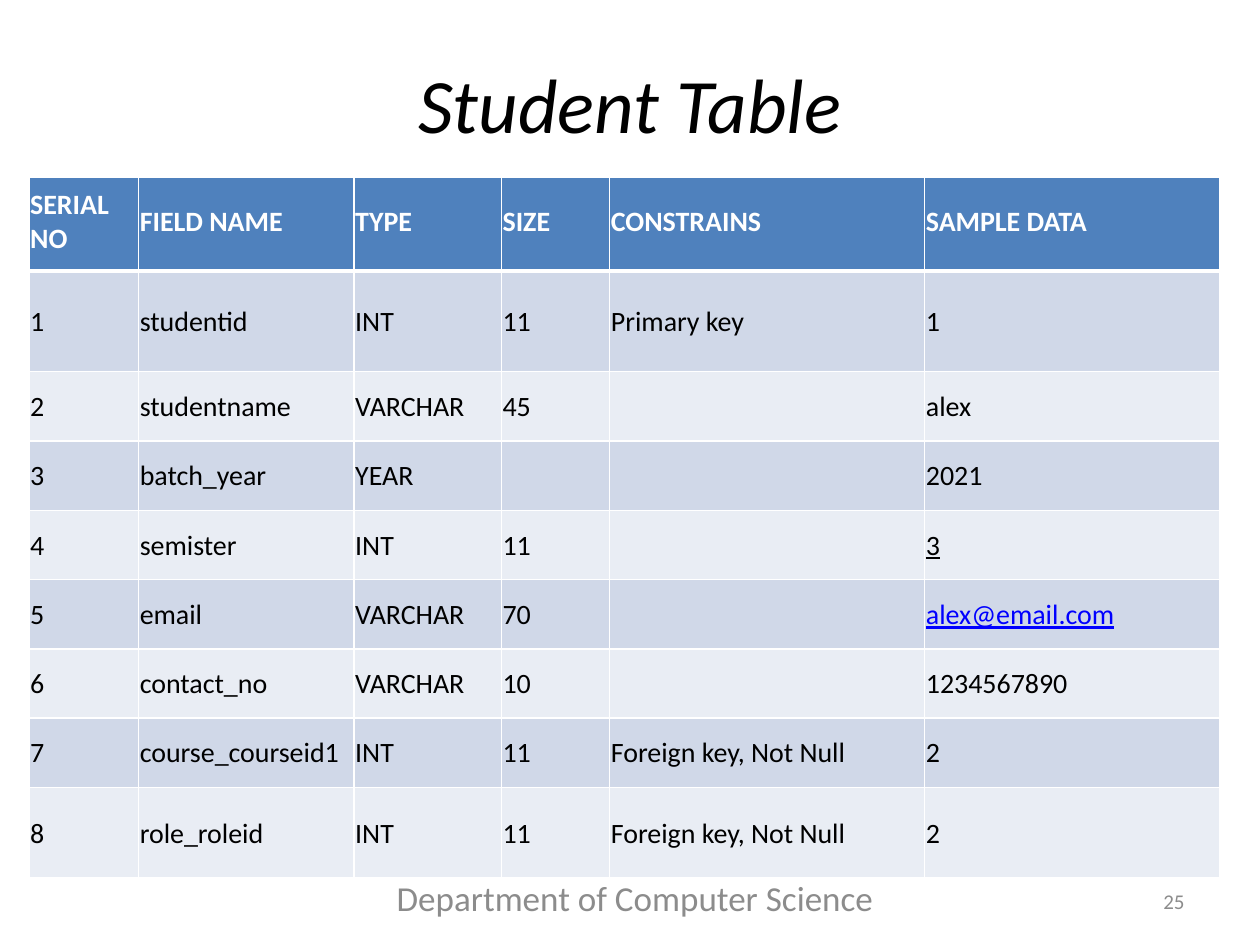
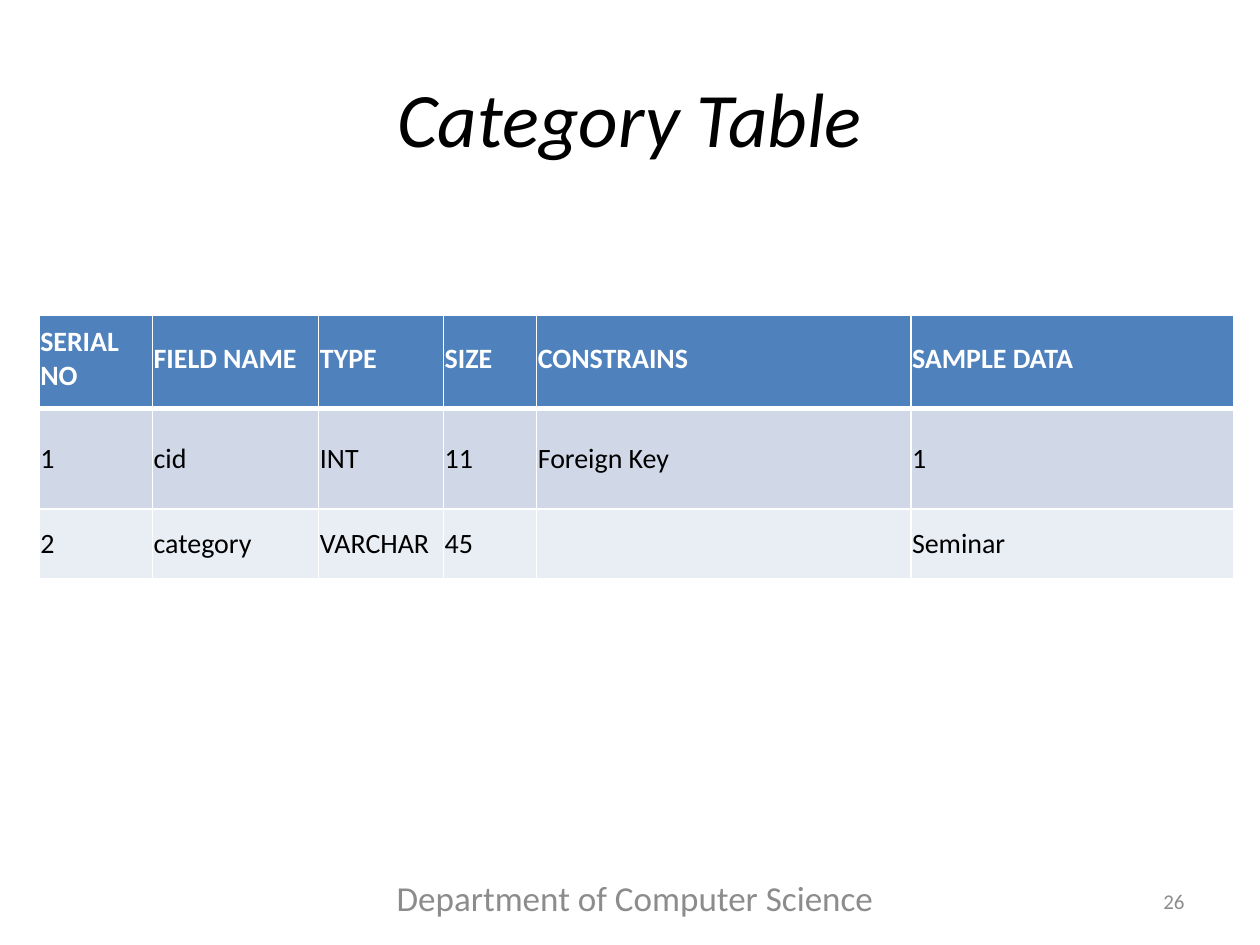
"""Build two slides that describe the Student and Category database tables."""
from lxml.etree import SubElement
from pptx import Presentation
from pptx.dml.color import RGBColor
from pptx.enum.text import MSO_ANCHOR as ANCHOR, PP_ALIGN as ALIGN
from pptx.oxml.ns import qn
from pptx.util import Inches, Pt

BLACK = RGBColor(0x00, 0x00, 0x00)
WHITE = RGBColor(0xFF, 0xFF, 0xFF)
GREY = RGBColor(0x8C, 0x8C, 0x8C)
HEADER = RGBColor(0x4F, 0x81, 0xBD)
BANDS = [RGBColor(0xE9, 0xED, 0xF4), RGBColor(0xD0, 0xD8, 0xE8)]
LINK = RGBColor(0x00, 0x00, 0xFF)
FONT = "Calibri"
FOOTER = "Department of Computer Science"
HEADINGS = ["SERIAL NO", "FIELD NAME", "TYPE", "SIZE", "CONSTRAINS", "SAMPLE DATA"]
UNDERLINED = {(4, 5): BLACK, (5, 5): LINK}

SLIDES = [
    dict(
        title="Student Table", number=25, title_height=1.03, left=0.23, top=1.41,
        cols=[0.87, 1.71, 1.17, 0.86, 2.5, 2.34],
        heights=[0.74, 0.8] + [0.55] * 6 + [0.72],
        fields=[
            ("studentid", "INT", "11", "Primary key", "1"),
            ("studentname", "VARCHAR", "45", "", "alex"),
            ("batch_year", "YEAR", "", "", "2021"),
            ("semister", "INT", "11", "", "3"),
            ("email", "VARCHAR", "70", "", "alex@email.com"),
            ("contact_no", "VARCHAR", "10", "", "1234567890"),
            ("course_courseid1", "INT", "11", "Foreign key, Not Null", "2"),
            ("role_roleid", "INT", "11", "Foreign key, Not Null", "2"),
        ],
    ),
    dict(
        title="Category Table", number=26, title_height=1.25, left=0.31, top=2.5,
        cols=[0.9, 1.32, 0.99, 0.74, 2.97, 2.56],
        heights=[0.74, 0.8, 0.55],
        fields=[
            ("cid", "INT", "11", "Foreign Key", "1"),
            ("category", "VARCHAR", "45", "", "Seminar"),
        ],
    ),
]


def write(tf, text, size=16, color=BLACK, align=ALIGN.LEFT, bold=False,
          italic=False, underline=False):
    tf.word_wrap = True
    tf.vertical_anchor = ANCHOR.MIDDLE
    p = tf.paragraphs[0]
    p.alignment = align
    r = p.add_run()
    r.text = text
    r.font.name, r.font.size, r.font.color.rgb = FONT, Pt(size), color
    r.font.bold, r.font.italic, r.font.underline = bold, italic, underline


def add_borders(cell, **widths):
    tcPr = cell._tc.get_or_add_tcPr()
    for side in "LRTB":
        ln = SubElement(tcPr, qn(f"a:ln{side}"), w=str(Pt(widths.get(side, 1))))
        fill = SubElement(ln, qn("a:solidFill"))
        SubElement(fill, qn("a:srgbClr"), val=str(WHITE))


prs = Presentation()
prs.slide_width, prs.slide_height = Inches(10), Inches(7.5)

for spec_data in SLIDES:
    s = prs.slides.add_slide(prs.slide_layouts[6])
    texts = [
        ((0.5, 0.3, 9, spec_data["title_height"]), spec_data["title"],
         dict(size=44, italic=True, align=ALIGN.CENTER)),
        ((2.83, 6.92, 4.42, 0.4), FOOTER,
         dict(size=20, color=GREY, align=ALIGN.CENTER)),
        ((7.17, 6.95, 2.33, 0.4), str(spec_data["number"]),
         dict(size=12, color=GREY, align=ALIGN.RIGHT)),
    ]
    for box, text, style in texts:
        sp = s.shapes.add_textbox(*map(Inches, box))
        write(sp.text_frame, text, **style)

    cols, heights = spec_data["cols"], spec_data["heights"]
    rows = [HEADINGS] + [(str(n), *field)
                         for n, field in enumerate(spec_data["fields"], 1)]
    table = s.shapes.add_table(
        len(rows), len(cols), Inches(spec_data["left"]), Inches(spec_data["top"]),
        Inches(sum(cols)), Inches(sum(heights))).table
    for col, width in zip(table.columns, cols):
        col.width = Inches(width)
    for row, height in zip(table.rows, heights):
        row.height = Inches(height)

    for i, row in enumerate(rows):
        for j, text in enumerate(row):
            cell = table.cell(i, j)
            add_borders(cell, B=3 if i == 0 else 1, T=3 if i == 1 else 1)
            cell.fill.solid()
            cell.fill.fore_color.rgb = BANDS[i % 2] if i else HEADER
            cell.margin_left = cell.margin_right = cell.margin_top = Inches(0.01)
            cell.margin_bottom = Inches(0 if i else 0.05)
            cell.vertical_anchor = ANCHOR.MIDDLE
            if not text:
                continue
            p = cell.text_frame.paragraphs[0]
            r = p.add_run()
            r.text = text
            r.font.name, r.font.size = FONT, Pt(16)
            r.font.bold = i == 0
            r.font.underline = (i, j) in UNDERLINED
            r.font.color.rgb = UNDERLINED.get((i, j), BLACK) if i else WHITE

prs.save("out.pptx")
